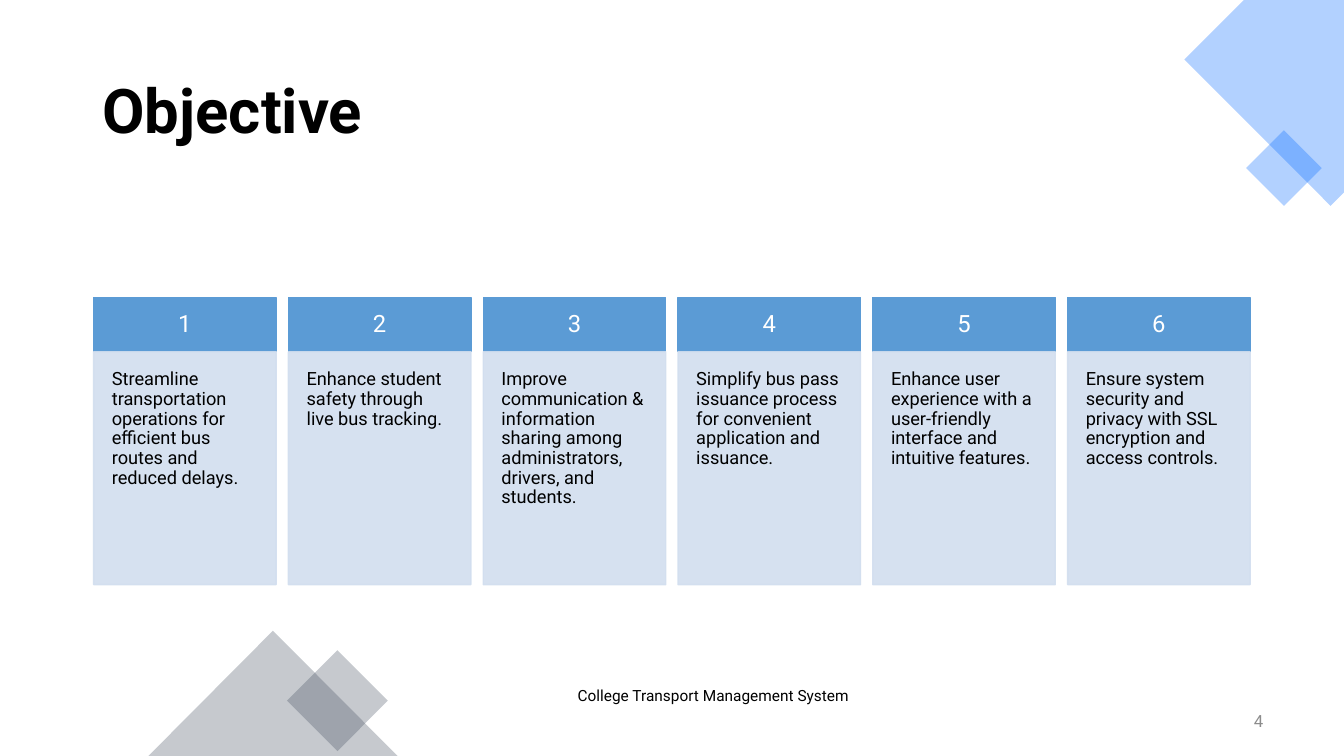
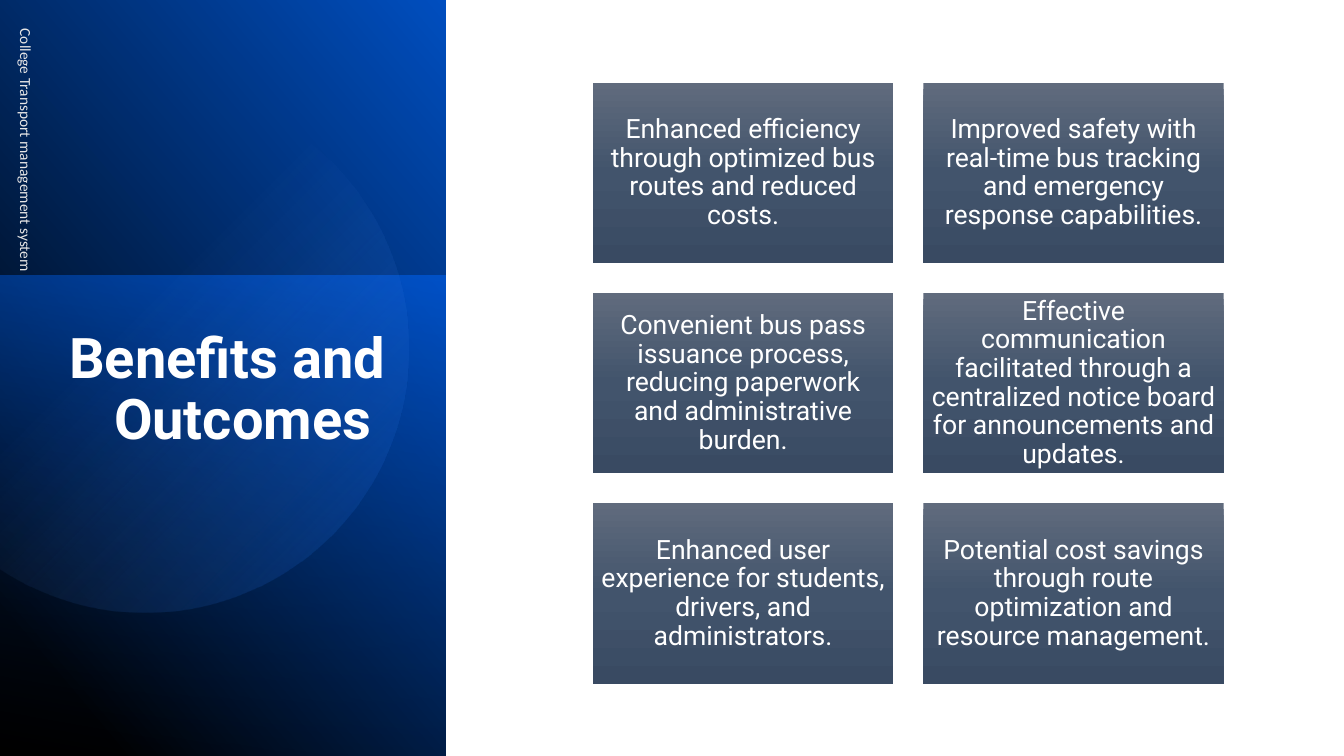
"""Build two slides about a college transport management system."""
import math

from lxml import etree
from pptx import Presentation
from pptx.dml.color import RGBColor
from pptx.enum.shapes import MSO_SHAPE
from pptx.enum.text import MSO_ANCHOR, MSO_AUTO_SIZE, PP_ALIGN
from pptx.oxml.ns import qn
from pptx.util import Pt

RECT, TRIANGLE = MSO_SHAPE.RECTANGLE, MSO_SHAPE.ISOSCELES_TRIANGLE
LEFT, CENTER, RIGHT = PP_ALIGN.LEFT, PP_ALIGN.CENTER, PP_ALIGN.RIGHT
TOP, MIDDLE = MSO_ANCHOR.TOP, MSO_ANCHOR.MIDDLE
NO_AUTOFIT = MSO_AUTO_SIZE.NONE

SLIDE_W, SLIDE_H = 960, 540
TITLE_ONLY = 5
FONT = "Roboto"
BLACK, WHITE, BLUE, SLATE = "000000", "FFFFFF", "0068FF", "434E5E"
HEADER_BLUE, BODY_BLUE = "5B9BD5", "D2DEEF"
PAGE_GREY, PALE_GREY = "8C8C8C", "E7E6E6"

PANEL_W = 318.5
PANEL_STOPS = [(11, BLACK, 100), (100, "004EBF", 100)]
GLOW_STOPS = [(0, BLUE, 50), (100, "003480", 0)]
DISC_STOPS = [(39, "66A4FF", 0), (100, "004EBF", 26)]
CARD_STOPS = [(0, "606B7D", 100), (50, "42546C", 100), (100, "394A62", 100)]

OBJECTIVES = [
    "Streamline transportation operations for efficient bus routes and reduced delays.",
    "Enhance student safety through live bus tracking.",
    "Improve communication & information sharing among administrators, drivers, and students.",
    "Simplify bus pass issuance process for convenient application and issuance.",
    "Enhance user experience with a user-friendly interface and intuitive features.",
    "Ensure system security and privacy with SSL encryption and access controls.",
]
BENEFITS = [
    "Enhanced efficiency through optimized bus routes and reduced costs.",
    "Improved safety with real-time bus tracking and emergency response capabilities.",
    "Convenient bus pass issuance process, reducing paperwork and administrative burden.",
    "Effective communication facilitated through a centralized notice board "
    "for announcements and updates.",
    "Enhanced user experience for students, drivers, and administrators.",
    "Potential cost savings through route optimization and resource management.",
]


def rgb(color):
    """Turn a hex string into a colour."""
    return RGBColor.from_string(color)


def add_alpha(clr, percent):
    """Make a colour element partly transparent."""
    etree.SubElement(clr, qn("a:alpha")).set("val", str(percent * 1000))


def fill_solid(shape, color, alpha=100, outline=False):
    """Fill a shape evenly, with a matching one-point line on request."""
    shape.shadow.inherit = False
    shape.fill.solid()
    shape.fill.fore_color.rgb = rgb(color)
    if outline:
        shape.line.color.rgb = rgb(color)
        shape.line.width = Pt(1)
    else:
        shape.line.fill.background()
    if alpha < 100:
        for clr in shape.element.spPr.iter(qn("a:srgbClr")):
            add_alpha(clr, alpha)


def fill_gradient(shape, stops, angle):
    """Fill a shape with (position, colour, alpha) stops at a clockwise angle."""
    shape.shadow.inherit = False
    shape.line.fill.background()
    shape.fill.gradient()
    grad = shape.element.spPr.find(qn("a:gradFill"))
    gs_list = grad.find(qn("a:gsLst"))
    for gs in list(gs_list):
        gs_list.remove(gs)
    for position, color, alpha in stops:
        gs = etree.SubElement(gs_list, qn("a:gs"))
        gs.set("pos", str(position * 1000))
        clr = etree.SubElement(gs, qn("a:srgbClr"))
        clr.set("val", color)
        if alpha < 100:
            add_alpha(clr, alpha)
    grad.find(qn("a:lin")).set("ang", str(angle * 60000))


def add_box(s, kind, left, top, width, height):
    """Add a preset shape measured in points."""
    return s.shapes.add_shape(kind, Pt(left), Pt(top), Pt(width), Pt(height))


def add_outline(s, points):
    """Add a closed polygon through points given in points."""
    start, *rest = [(Pt(x), Pt(y)) for x, y in points]
    builder = s.shapes.build_freeform(*start)
    builder.add_line_segments(rest, close=True)
    return builder.convert_to_shape()


def add_diamond(s, left, top, side, color):
    """Add a translucent square turned by 45 degrees."""
    sp = add_box(s, RECT, left, top, side, side)
    sp.rotation = 45
    fill_solid(sp, color, 30)


def write(shape, text, size, color, align=LEFT, anchor=MIDDLE, inset=None,
          font=FONT, bold=False, spacing=0.9):
    """Write one formatted paragraph into a shape."""
    tf = shape.text_frame
    tf.word_wrap = True
    tf.auto_size = NO_AUTOFIT
    tf.vertical_anchor = anchor
    if inset is not None:
        tf.margin_left = tf.margin_right = Pt(inset)
        tf.margin_top = tf.margin_bottom = Pt(inset)
    p = tf.paragraphs[0]
    p.alignment = align
    p.line_spacing = spacing
    r = p.add_run()
    r.text = text
    r.font.name = font
    r.font.size = Pt(size)
    r.font.bold = bold
    r.font.color.rgb = rgb(color)


def add_label(s, text, left, top, width, height, size, color, **style):
    """Add a one-line text box and return it."""
    tb = s.shapes.add_textbox(Pt(left), Pt(top), Pt(width), Pt(height))
    write(tb, text, size, color, spacing=1.0, **style)
    return tb


def set_title(s, text, left, top, width, height, size, color, **style):
    """Place the title placeholder in front of the shapes and write it."""
    title = s.shapes.title
    title.left, title.top = Pt(left), Pt(top)
    title.width, title.height = Pt(width), Pt(height)
    title.element.getparent().append(title.element)
    write(title, text, size, color, bold=True, **style)


def add_objective(s, index, text):
    """Add one numbered column."""
    left, width = 66.9 + index * 139.14, 130.4
    header = add_box(s, RECT, left, 212.4, width, 38.9)
    fill_solid(header, HEADER_BLUE, outline=True)
    write(header, str(index + 1), 17, WHITE, align=CENTER, inset=10)
    body = add_box(s, RECT, left, 251.3, width, 166.3)
    fill_solid(body, BODY_BLUE, 90, outline=True)
    write(body, text, 13, BLACK, anchor=TOP, inset=13)


def add_benefit(s, index, text):
    """Add one card of the two-column grid."""
    row, col = divmod(index, 2)
    card = add_box(s, RECT, 423.5 + col * 236, 59.2 + row * 150.2, 214.6, 128.8)
    fill_gradient(card, CARD_STOPS, 90)
    write(card, text, 19, WHITE, align=CENTER, inset=5.7)


def add_side_panel(s):
    """Add the dark panel with its glow and its disc cut at the slide edge."""
    fill_gradient(add_box(s, RECT, 0, 0, PANEL_W, SLIDE_H), PANEL_STOPS, 320)
    glow_top = 196.5
    glow = add_box(s, RECT, 0, glow_top, PANEL_W, SLIDE_H - glow_top)
    fill_gradient(glow, GLOW_STOPS, 100)
    cx, cy, radius, steps = 103.5, 249, 188.5, 120
    limit = math.acos(-cx / radius)
    angles = [limit * (2 * i / steps - 1) for i in range(steps + 1)]
    disc = add_outline(s, [(cx + radius * math.cos(a), cy + radius * math.sin(a))
                           for a in angles])
    fill_gradient(disc, DISC_STOPS, 45)


def build_objective(prs):
    """Build the slide with six numbered objectives."""
    s = prs.slides.add_slide(prs.slide_layouts[TITLE_ONLY])
    corner = add_outline(s, [(846, 42.5), (888.5, 0), (SLIDE_W, 0),
                             (SLIDE_W, 137.5), (950.4, 147)])
    fill_solid(corner, BLUE, 30)
    add_diamond(s, 898, 101, 38.2, BLUE)
    add_diamond(s, 215.5, 475, 51, SLATE)
    fill_solid(add_box(s, TRIANGLE, 106, 450.5, 178, 89.5), SLATE, 30)
    add_label(s, "College Transport Management System", 405.5, 484, 324, 25, 11, BLACK)
    add_label(s, "4", 693.5, 500.5, 216, 29, 12, PAGE_GREY, align=RIGHT)
    set_title(s, "Objective", 66, 29, 828, 104.4, 44, BLACK)
    for index, text in enumerate(OBJECTIVES):
        add_objective(s, index, text)


def build_benefits(prs):
    """Build the slide with the side panel and six benefit cards."""
    s = prs.slides.add_slide(prs.slide_layouts[TITLE_ONLY])
    add_side_panel(s)
    set_title(s, "Benefits and Outcomes ", 41.8, 232.5, 240.5, 278, 40, WHITE,
              align=RIGHT, anchor=TOP)
    side = add_label(s, "College Transport management system", -143.3, 157.7, 324, 35.3,
                     11, PALE_GREY, font="Calibri")
    side.rotation = 90
    for index, text in enumerate(BENEFITS):
        add_benefit(s, index, text)


def main():
    """Build and save the presentation."""
    prs = Presentation()
    prs.slide_width, prs.slide_height = Pt(SLIDE_W), Pt(SLIDE_H)
    build_objective(prs)
    build_benefits(prs)
    prs.save("out.pptx")


if __name__ == "__main__":
    main()
